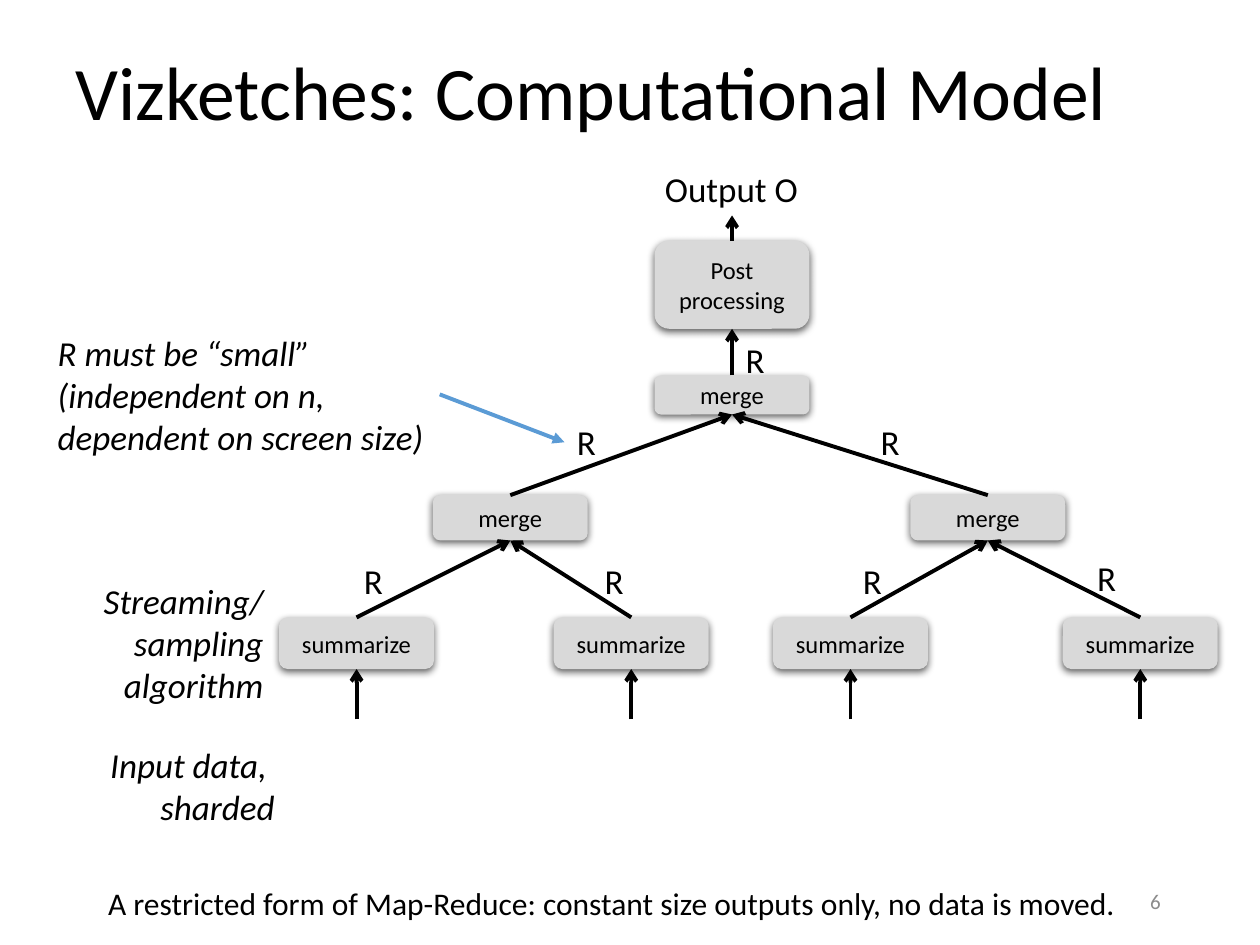
import dataclasses

import pptx
import pptx.dml.color
import pptx.enum.shapes
import pptx.enum.text
import pptx.oxml
import pptx.oxml.ns
import pptx.util

ALIGN = pptx.enum.text.PP_ALIGN
MIDDLE = pptx.enum.text.MSO_ANCHOR.MIDDLE
AUTO_SIZE = pptx.enum.text.MSO_AUTO_SIZE


@dataclasses.dataclass(frozen=True)
class Theme:
    font: str = "Calibri"
    ink: str = "000000"
    node: str = "D9D9D9"
    accent: str = "5B9BD5"
    muted: str = "8C8C8C"
    title: float = 43.2
    label: float = 20
    footer: float = 18
    node_text: float = 14
    number: float = 12
    line: float = 2.25


class TreeSlide:
    """Draws a merge tree on a grid of 100 columns by 75 rows."""

    node_width = 12.3

    def __init__(self, presentation, theme):
        self.theme = theme
        self.column = presentation.slide_width / 100
        self.row = presentation.slide_height / 75
        self.slide = presentation.slides.add_slide(presentation.slide_layouts[5])

    def place(self, left, top, width, height):
        return [int(left * self.column), int(top * self.row),
                int(width * self.column), int(height * self.row)]

    def color(self, value):
        return pptx.dml.color.RGBColor.from_string(value)

    def set_text(self, shape, text, size, align=ALIGN.LEFT, color=None, italic=False):
        shape.text_frame.text = text
        for paragraph in shape.text_frame.paragraphs:
            paragraph.alignment = align
            paragraph.font.name = self.theme.font
            paragraph.font.size = pptx.util.Pt(size)
            paragraph.font.italic = italic
            paragraph.font.color.rgb = self.color(color or self.theme.ink)

    def title(self, text, *box):
        title = self.slide.shapes.title
        title.left, title.top, title.width, title.height = self.place(*box)
        self.set_text(title, text, self.theme.title)
        title.text_frame.vertical_anchor = MIDDLE
        title.text_frame.auto_size = AUTO_SIZE.NONE
        title.text_frame.paragraphs[0].line_spacing = 0.9

    def text(self, text, *box, size=None, **style):
        shape = self.slide.shapes.add_textbox(*self.place(*box))
        shape.text_frame.word_wrap = False
        shape.text_frame.auto_size = AUTO_SIZE.SHAPE_TO_FIT_TEXT
        self.set_text(shape, text, size or self.theme.label, **style)

    def number(self, text, *box):
        shape = self.slide.shapes.add_textbox(*self.place(*box))
        shape.text_frame.word_wrap = True
        shape.text_frame.vertical_anchor = MIDDLE
        self.set_text(shape, text, self.theme.number, ALIGN.RIGHT, self.theme.muted)

    def node(self, text, center, top, height):
        box = self.place(center - self.node_width / 2, top, self.node_width, height)
        shape = self.slide.shapes.add_shape(
            pptx.enum.shapes.MSO_SHAPE.ROUNDED_RECTANGLE, *box)
        shape.fill.solid()
        shape.fill.fore_color.rgb = self.color(self.theme.node)
        shape.line.fill.background()
        shape.text_frame.word_wrap = False
        shape.text_frame.vertical_anchor = MIDDLE
        self.set_text(shape, text, self.theme.node_text, ALIGN.CENTER)
        shape._element.spPr.append(pptx.oxml.parse_xml(
            f'<a:effectLst {pptx.oxml.ns.nsdecls("a")}>'
            '<a:outerShdw blurRad="57150" dist="19050" dir="5400000" '
            'algn="ctr" rotWithShape="0"><a:srgbClr val="000000">'
            '<a:alpha val="63000"/></a:srgbClr></a:outerShdw></a:effectLst>'))

    def arrow(self, start, end, color=None, head="arrow"):
        ends = self.place(*start, *end)
        connector = self.slide.shapes.add_connector(
            pptx.enum.shapes.MSO_CONNECTOR.STRAIGHT, *ends)
        connector.line.width = pptx.util.Pt(self.theme.line)
        connector.line.color.rgb = self.color(color or self.theme.ink)
        namespace = pptx.oxml.ns.nsdecls("a")
        connector.line._get_or_add_ln().append(
            pptx.oxml.parse_xml(f'<a:tailEnd {namespace} type="{head}"/>'))
        connector._element.spPr.append(
            pptx.oxml.parse_xml(f"<a:effectLst {namespace}/>"))


def main():
    presentation = pptx.Presentation()
    presentation.slide_width = pptx.util.Inches(10)
    presentation.slide_height = pptx.util.Inches(7.5)
    theme = Theme()
    tree = TreeSlide(presentation, theme)
    tree.title("Vizketches: Computational Model", 5, 3.2, 86.2, 8.9)

    root = 58.1
    branches = {40.5: (28.3, 50.1), 78.4: (67.5, 90.5)}
    post_top, post_height = 19.1, 7
    root_top, root_height = 29.8, 3.1
    merge_top, merge_height = 39.3, 3.6
    leaf_top, leaf_height = 49, 4.1

    tree.node("Post\nprocessing", root, post_top, post_height)
    tree.node("merge", root, root_top, root_height)
    tree.arrow((root, post_top), (root, 17.1))
    tree.arrow((root, root_top), (root, post_top + post_height))
    for branch, leaves in branches.items():
        tree.node("merge", branch, merge_top, merge_height)
        tree.arrow((branch, merge_top), (root, root_top + root_height))
        for leaf in leaves:
            tree.node("summarize", leaf, leaf_top, leaf_height)
            tree.arrow((leaf, leaf_top), (branch, merge_top + merge_height))
            tree.arrow((leaf, 57.1), (leaf, leaf_top + leaf_height))

    for left, top in [(58.2, 26.4), (44.8, 32.9), (68.9, 32.9), (27.9, 43.9),
                      (47, 43.9), (67.5, 43.9), (86.1, 43.7)]:
        tree.text("R", left, top, 3.5, 4.4)

    tree.text("Output O", 51.7, 12.8, 12.7, 4.4, align=ALIGN.CENTER)
    tree.text("R must be “small”\n(independent on n,\ndependent on screen size)",
              3.6, 25.8, 31.2, 11.1, italic=True)
    tree.arrow((34.9, 31.3), (44.8, 35.1), theme.accent, "triangle")
    tree.text("Streaming/\vsampling\valgorithm", 7.1, 45.5, 14.8, 11.1,
              align=ALIGN.RIGHT, italic=True)
    tree.text("Input data, \vsharded", 7.6, 58.5, 15.2, 7.7,
              align=ALIGN.RIGHT, italic=True)
    tree.number("6", 70.6, 69.5, 22.5, 4)
    tree.text("A restricted form of Map-Reduce: constant size outputs only, "
              "no data is moved.", 7.6, 69.7, 82.9, 4, size=theme.footer)
    presentation.save("out.pptx")


if __name__ == "__main__":
    main()
